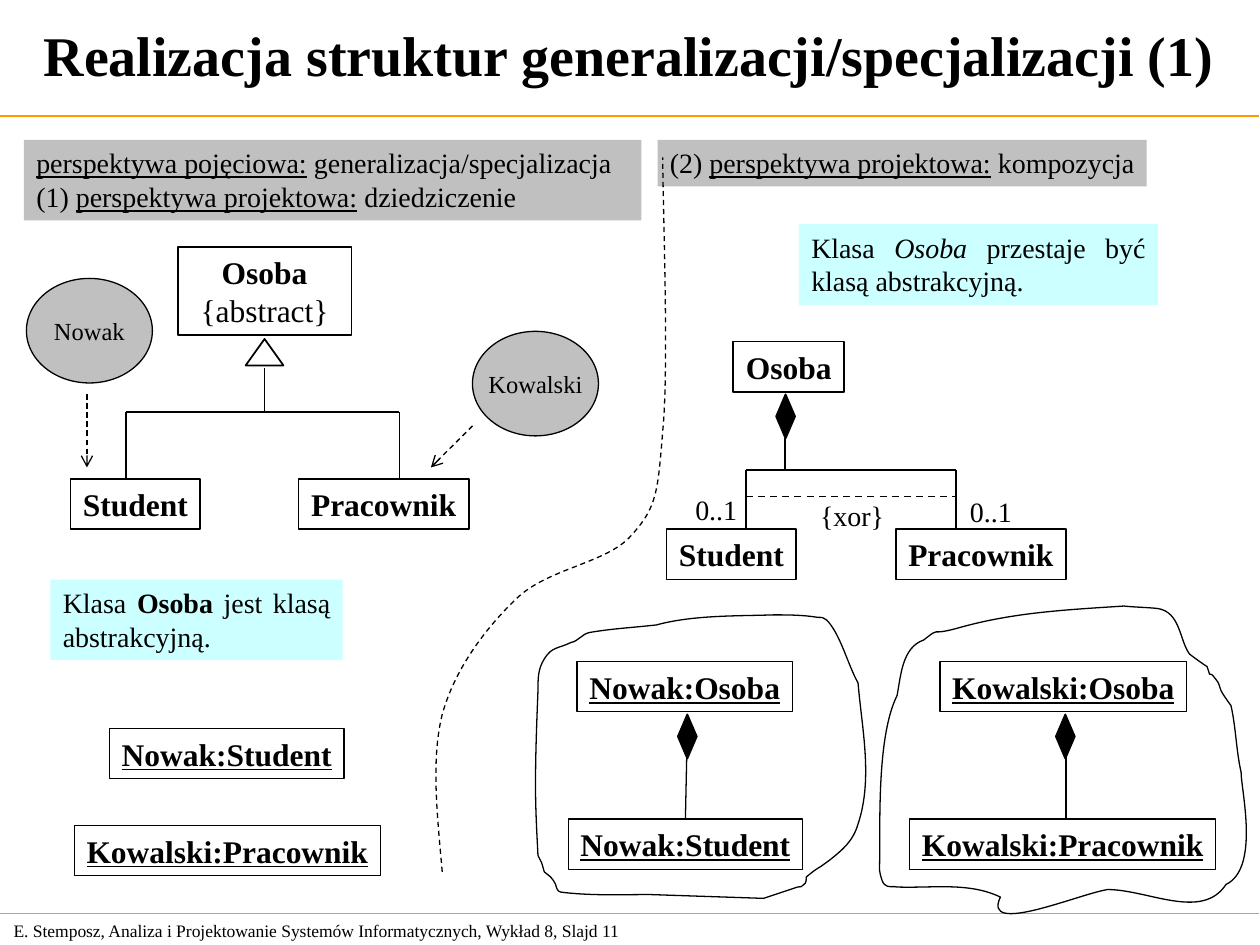
"""Build the slide on realising generalisation/specialisation structures."""
from dataclasses import dataclass

from lxml import etree
from pptx import Presentation
from pptx import util as u
from pptx.dml.color import RGBColor
from pptx.enum import dml, shapes, text
from pptx.oxml import ns


@dataclass(frozen=True)
class Theme:
    font: str = "Times New Roman"
    ink: str = "000000"
    paper: str = "FFFFFF"
    rule: str = "FF9900"
    grey: str = "C0C0C0"
    cyan: str = "CCFFFF"
    title: int = 32
    name: int = 18
    body: int = 16
    oval: int = 14
    footer: int = 10
    thin: float = 0.75
    thick: float = 1


T = Theme()
M = shapes.MSO_SHAPE
A = text.PP_ALIGN
TOP, MIDDLE = text.MSO_ANCHOR.TOP, text.MSO_ANCHOR.MIDDLE

prs = Presentation()
prs.slide_width, prs.slide_height = u.Inches(10), u.Inches(7.5)
s = prs.slides.add_slide(prs.slide_layouts[6])


def add_box(at, paras=(), size=T.name, kind=M.RECTANGLE, fill=None, width=None,
            align=A.CENTER, anchor=MIDDLE, wrap=False):
    at = [u.Inches(v) for v in at]
    if kind is None:
        sp = s.shapes.add_textbox(*at)
    else:
        sp = s.shapes.add_shape(kind, *at)
        sp.shadow.inherit = False
        if fill:
            sp.fill.solid()
            sp.fill.fore_color.rgb = RGBColor.from_string(fill)
        else:
            sp.fill.background()
        if width:
            sp.line.color.rgb = RGBColor.from_string(T.ink)
            sp.line.width = u.Pt(width)
        else:
            sp.line.fill.background()
    tf = sp.text_frame
    tf.word_wrap, tf.vertical_anchor = wrap, anchor
    for i, runs in enumerate(paras):
        p = tf.add_paragraph() if i else tf.paragraphs[0]
        p.alignment = align
        for words, style in runs:
            r = p.add_run()
            r.text = words
            r.font.name, r.font.size = T.font, u.Pt(size)
            r.font.color.rgb = RGBColor.from_string(T.ink)
            r.font.bold, r.font.italic = "b" in style, "i" in style
            r.font.underline = "u" in style


def add_line(x1, y1, x2, y2, width=T.thick, color=T.ink, dash=False, arrow=False):
    c = s.shapes.add_connector(shapes.MSO_CONNECTOR.STRAIGHT,
                               *[u.Inches(v) for v in (x1, y1, x2, y2)])
    c.line.color.rgb = RGBColor.from_string(color)
    c.line.width = u.Pt(width)
    if dash:
        c.line.dash_style = dml.MSO_LINE.DASH
    if arrow:
        etree.SubElement(c.line._get_or_add_ln(), ns.qn("a:tailEnd"), type="arrow")
    etree.SubElement(c._element.spPr, ns.qn("a:effectLst"))


add_box((0.01, 7.25, 5.24, 0.27),
        [[("E. Stemposz, Analiza i Projektowanie Systemów Informatycznych, Wykład 8, Slajd 11", "")]],
        T.footer, None, align=A.LEFT, wrap=True)
for y in (0.92, 7.25):
    add_line(-0.01, y, 9.99, y, T.thin, T.rule)
add_box((0, -0.03, 9.99, 0.92),
        [[("Realizacja struktur generalizacji/specjalizacji (1)", "b")]],
        T.title, None, wrap=True)

add_box((1.41, 1.96, 1.38, 0.7), [[("Osoba", "b")], [("{abstract}", "")]], width=T.thick)
add_box((1.95, 2.69, 0.3, 0.21), kind=M.ISOSCELES_TRIANGLE, fill=T.paper, width=T.thick)
for x, y, w, name in ((0.56, 3.8, 1.03, "Student"), (2.37, 3.8, 1.35, "Pracownik"),
                      (5.82, 2.71, 0.88, "Osoba"),
                      (5.29, 4.2, 1.03, "Student"), (7.11, 4.2, 1.35, "Pracownik")):
    add_box((x, y, w, 0.4), [[(name, "b")]], width=T.thick)
for x, y, w, label in ((5.42, 3.86, 0.53, "0..1"), (7.6, 3.88, 0.53, "0..1"),
                       (6.41, 3.91, 0.71, "{xor}")):
    add_box((x, y, w, 0.37), [[(label, "")]], T.body, None, align=A.LEFT, anchor=TOP)
for left, right, stem, top, bar, bottom in ((1, 3.17, 2.1, 2.92, 3.27, 3.8),
                                            (5.92, 7.59, 6.23, 3.48, 3.73, 4.2)):
    add_line(stem, top, stem, bar)
    add_line(left, bar, right, bar)
    for x in (left, right):
        add_line(x, bar, x, bottom)
add_line(5.92, 3.94, 7.59, 3.94, dash=True)

add_box((0.19, 1.11, 4.9, 0.64),
        [[("perspektywa pojęciowa:", "u"), (" generalizacja/specjalizacja", "")],
         [("(1) ", ""), ("perspektywa projektowa:", "u"), (" dziedziczenie", "")]],
        T.body, fill=T.grey, align=A.LEFT, anchor=TOP, wrap=True)
add_box((5.22, 1.11, 3.88, 0.37),
        [[("(2) ", ""), ("perspektywa projektowa:", "u"), (" kompozycja", "")]],
        T.body, fill=T.grey, anchor=TOP)
for x, y, name in ((3.75, 2.63, "Kowalski"), (0.21, 2.21, "Nowak")):
    add_box((x, y, 1, 0.83), [[(name, "")]], T.oval, M.OVAL, T.grey, T.thin)
for ends in ((3.75, 3.38, 3.42, 3.71), (0.69, 3.13, 0.69, 3.71)):
    add_line(*ends, T.thin, dash=True, arrow=True)

for x, y, w, name in ((0.87, 5.78, 1.86, "Nowak:Student"), (0.59, 6.55, 2.43, "Kowalski:Pracownik"),
                      (4.58, 5.25, 1.71, "Nowak:Osoba"), (4.51, 6.5, 1.86, "Nowak:Student"),
                      (7.46, 5.25, 1.96, "Kowalski:Osoba"), (7.22, 6.5, 2.43, "Kowalski:Pracownik")):
    add_box((x, y, w, 0.4), [[(name, "bu")]], width=T.thin)
for x, y in ((6.16, 3.13), (5.38, 5.67), (8.38, 5.67)):
    add_box((x, y, 0.15, 0.35), kind=M.DIAMOND, fill=T.ink, width=T.thick)
add_line(5.45, 6.01, 5.44, 6.5, T.thin)
add_line(8.46, 6, 8.46, 6.5, T.thin)

nowak_outline = [
    (4.41, 7.02), (4.4, 7), (4.39, 6.98), (4.37, 6.96), (4.36, 6.94), (4.33, 6.94), (4.32, 6.92),
    (4.31, 6.9), (4.31, 6.87), (4.3, 6.85), (4.29, 6.83), (4.28, 6.81), (4.27, 6.79),
    (4.26, 6.6), (4.25, 6.42), (4.25, 6.23), (4.25, 5.98), (4.26, 5.73), (4.27, 5.48),
    (4.27, 5.38), (4.27, 5.31), (4.32, 5.23), (4.38, 5.13), (4.43, 5.15), (4.53, 5.1),
    (4.59, 5.09), (4.62, 5.03), (4.68, 5.02), (4.85, 4.99), (5.03, 4.98), (5.21, 4.96),
    (5.5, 4.88), (5.86, 4.89), (6.14, 4.88), (6.25, 4.88), (6.37, 4.88), (6.49, 4.9),
    (6.52, 4.9), (6.54, 4.9), (6.56, 4.92), (6.67, 5.03), (6.73, 5.28), (6.81, 5.42),
    (6.84, 5.78), (6.93, 6.18), (6.81, 6.54), (6.77, 6.68), (6.68, 6.75), (6.58, 6.83),
    (6.56, 6.85), (6.53, 6.86), (6.51, 6.88), (6.47, 6.9), (6.4, 6.96), (6.4, 6.96),
    (6.4, 6.98), (6.4, 7.01), (6.38, 7.02), (6.37, 7.04), (6.35, 7.04), (6.33, 7.04),
    (6.24, 7.07), (6.15, 7.1), (6.06, 7.13), (5.76, 7.12), (5.46, 7.11), (5.16, 7.1),
    (4.92, 7.1), (4.68, 7.11), (4.45, 7.08), (4.42, 7.08), (4.41, 7.02), (4.41, 7.02)]
kowalski_outline = [
    (7.94, 7.12), (7.69, 7), (7.41, 7.05), (7.12, 7.04), (7.09, 7.03), (7.05, 7.05), (7.02, 7.02),
    (6.99, 6.99), (6.98, 6.9), (6.98, 6.9), (6.99, 6.6), (6.95, 5.86), (7.12, 5.52),
    (7.15, 5.36), (7.16, 5.14), (7.33, 5.08), (7.49, 4.96), (7.34, 5.06), (7.62, 4.98),
    (8.05, 4.86), (8.46, 4.84), (8.92, 4.81), (9.01, 4.82), (9.1, 4.82), (9.19, 4.83),
    (9.37, 4.86), (9.36, 5.08), (9.44, 5.19), (9.45, 5.2), (9.56, 5.28), (9.58, 5.29),
    (9.63, 5.44), (9.56, 5.26), (9.67, 5.42), (9.68, 5.44), (9.68, 5.46), (9.69, 5.48),
    (9.71, 5.52), (9.77, 5.6), (9.77, 5.6), (9.81, 5.78), (9.81, 5.95), (9.85, 6.13),
    (9.85, 6.27), (10, 6.89), (9.73, 7.02), (9.54, 7.31), (9.11, 7.06), (8.79, 7.06),
    (8.55, 7.1), (7.79, 7.43), (7.94, 7.12)]
divider = [
    (3.51, 6.92), (3.47, 6.47), (3.42, 6.03), (3.51, 5.67), (3.61, 5.31), (3.85, 4.99), (4.1, 4.75),
    (4.35, 4.51), (4.82, 4.47), (5.01, 4.25), (5.21, 4.03), (5.22, 3.92), (5.26, 3.42),
    (5.31, 2.92), (5.26, 1.62), (5.26, 1.25)]
for curve, closed in ((nowak_outline, True), (kowalski_outline, True), (divider, False)):
    start, *points = [(u.Inches(x), u.Inches(y)) for x, y in curve]
    fb = s.shapes.build_freeform(*start)
    fb.add_line_segments(points, close=closed)
    sp = fb.convert_to_shape()
    segments = list(sp._element.iter(ns.qn("a:lnTo")))
    for i in range(0, len(segments), 3):
        first, *others = segments[i:i + 3]
        bezier = etree.Element(ns.qn("a:cubicBezTo"))
        first.addprevious(bezier)
        for segment in (first, *others):
            bezier.append(segment[0])
            segment.getparent().remove(segment)
    sp.shadow.inherit = False
    sp.fill.background()
    sp.line.color.rgb = RGBColor.from_string(T.ink)
    sp.line.width = u.Pt(T.thin)
    if not closed:
        sp.line.dash_style = dml.MSO_LINE.DASH

for at, name, style, after in (
        ((0.4, 4.6, 2.32, 0.64), "Osoba ", "b", "jest klasą abstrakcyjną."),
        ((6.34, 1.78, 2.85, 0.64), "Osoba ", "i", "przestaje być klasą abstrakcyjną.")):
    add_box(at, [[("Klasa ", ""), (name, style), (after, "")]], T.body,
            fill=T.cyan, align=A.JUSTIFY, anchor=TOP, wrap=True)

prs.save("out.pptx")
